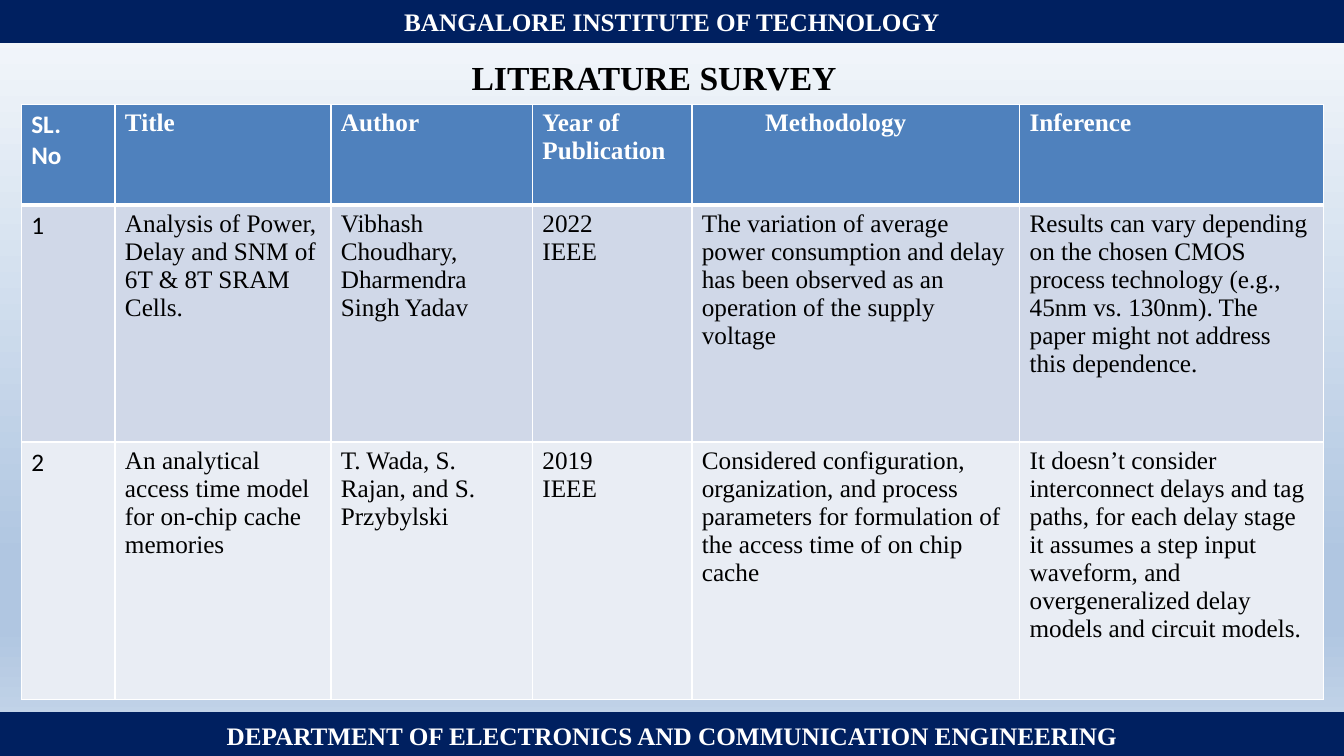
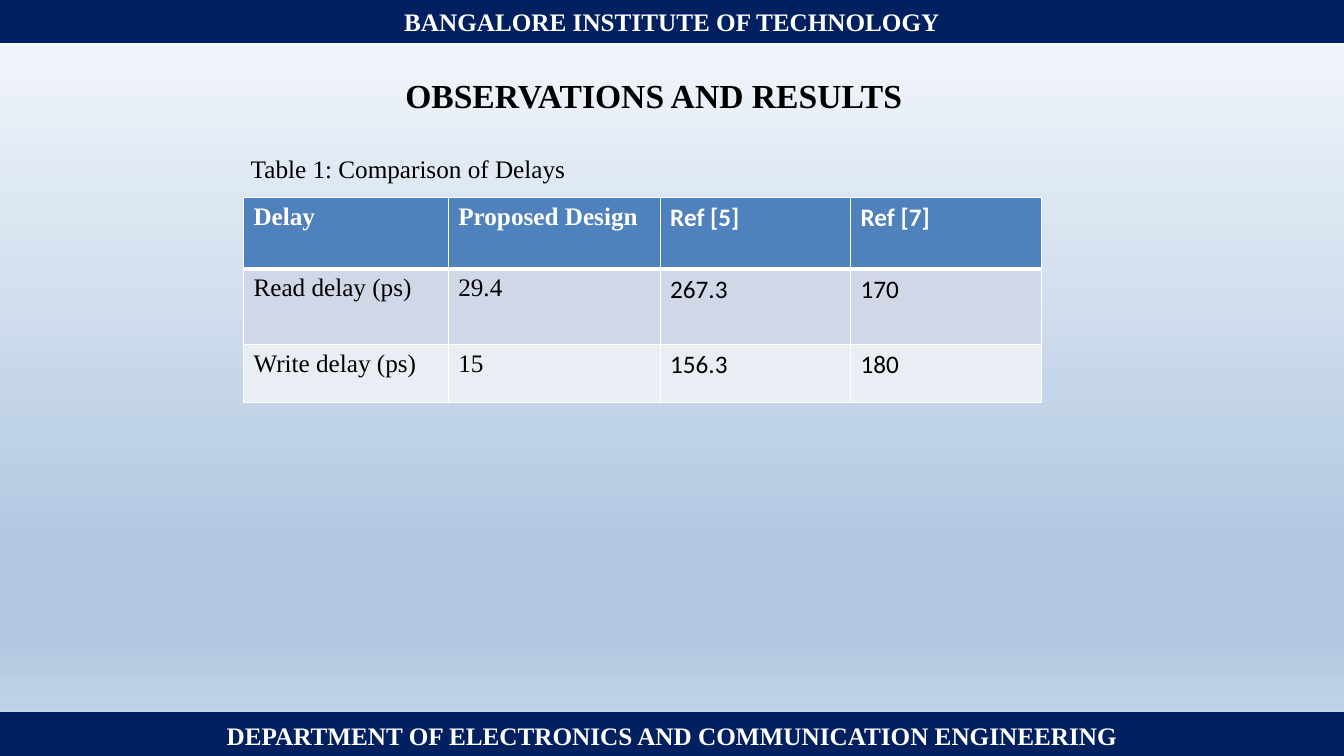
"""Build the literature survey and results slides."""
from pptx import Presentation
from pptx.dml.color import RGBColor
from pptx.enum.shapes import MSO_SHAPE
from pptx.enum.text import MSO_ANCHOR, MSO_AUTO_SIZE, PP_ALIGN
from pptx.oxml import parse_xml
from pptx.oxml.ns import nsdecls, qn
from pptx.util import Cm, Pt

SERIF, SANS = "Times New Roman", "Calibri"
NAVY, BLUE, WHITE, BLACK = "002060", "4F81BD", "FFFFFF", "000000"
STRIPES = ["E9EDF4", "D0D8E8"]
BACKGROUND = [(0, "F6F9FC"), (74, "B0C6E1"), (83, "B0C6E1"), (100, "CAD9EB")]
WIDTH, HEIGHT, BAND = 33.87, 19.05, 1.06
BANDS = [
    (0, "BANGALORE INSTITUTE OF TECHNOLOGY"),
    (HEIGHT - BAND, "DEPARTMENT OF ELECTRONICS AND COMMUNICATION ENGINEERING"),
]

SLIDES = [
    {
        "title": "LITERATURE SURVEY",
        "title_box": (11.63, 1.3, 9.96, 1.27),
        "table_at": (0.54, 2.63),
        "cols": [2.36, 5.44, 5.08, 4.02, 8.26, 7.65],
        "rows": [2.54, 5.97, 6.48],
        "sans_cols": [0],
        "indents": {"Methodology": 1.59},
        "cells": [
            ["SL.\nNo", "Title", "Author", "Year of Publication", "Methodology", "Inference"],
            ["1",
             "Analysis of Power, Delay and SNM of 6T & 8T SRAM Cells.",
             "Vibhash Choudhary, Dharmendra Singh Yadav",
             "2022\nIEEE",
             "The variation of average power consumption and delay has been observed "
             "as an operation of the supply voltage",
             "Results can vary depending on the chosen CMOS process technology "
             "(e.g., 45nm vs. 130nm). The paper might not address this dependence."],
            ["2",
             "An analytical access time model for on-chip cache memories",
             "T. Wada, S. Rajan, and S. Przybylski",
             "2019\nIEEE",
             "Considered configuration, organization, and process parameters for "
             "formulation of the access time of on chip cache",
             "It doesn’t consider interconnect delays and tag paths, for each delay stage "
             "it assumes a step input waveform, and overgeneralized delay models and "
             "circuit models."],
        ],
    },
    {
        "title": "OBSERVATIONS AND RESULTS",
        "title_box": (9.96, 1.75, 13.77, 1.27),
        "caption": "Table 1: Comparison of Delays",
        "caption_box": (6.07, 3.73, 19.6, 1.02),
        "table_at": (6.14, 4.98),
        "cols": [5.16, 5.34, 4.8, 4.8],
        "rows": [1.8, 1.91, 1.45],
        "sans_cols": [2, 3],
        "indents": {},
        "cells": [
            ["Delay", "Proposed Design", "Ref [5]", "Ref [7]"],
            ["Read delay (ps)", "29.4", "267.3", "170"],
            ["Write delay (ps)", "15", "156.3", "180"],
        ],
    },
]


def rgb(color):
    return RGBColor.from_string(color)


def style(tf, size, color, bold=False, name=SERIF, align=PP_ALIGN.LEFT):
    for p in tf.paragraphs:
        p.alignment = align
        p.font.name = name
        p.font.size = Pt(size)
        p.font.bold = bold
        p.font.color.rgb = rgb(color)


prs = Presentation()
prs.slide_width, prs.slide_height = Cm(WIDTH), Cm(HEIGHT)

fill = prs.slide_master.background.fill
fill.gradient()
fill.gradient_angle = 270
stops = prs.slide_master.element.find(".//" + qn("a:gsLst"))
for stop in list(stops):
    stops.remove(stop)
for pos, color in BACKGROUND:
    stops.append(parse_xml(
        f'<a:gs {nsdecls("a")} pos="{pos * 1000}"><a:srgbClr val="{color}"/></a:gs>'))

for data in SLIDES:
    s = prs.slides.add_slide(prs.slide_layouts[5])

    for top, text in BANDS:
        sp = s.shapes.add_shape(MSO_SHAPE.RECTANGLE, 0, Cm(top), Cm(WIDTH), Cm(BAND))
        sp.shadow.inherit = False
        sp.fill.solid()
        sp.fill.fore_color.rgb = rgb(NAVY)
        sp.line.color.rgb = rgb(NAVY)
        sp.line.width = Pt(2)
        tf = sp.text_frame
        tf.text = text
        tf.vertical_anchor = MSO_ANCHOR.MIDDLE
        style(tf, 18, WHITE, bold=True, align=PP_ALIGN.CENTER)

    title = s.shapes.title
    title.left, title.top, title.width, title.height = map(Cm, data["title_box"])
    tf = title.text_frame
    tf.text = data["title"]
    tf.vertical_anchor = MSO_ANCHOR.TOP
    tf.auto_size = MSO_AUTO_SIZE.NONE
    style(tf, 24, BLACK, bold=True)

    if "caption" in data:
        tf = s.shapes.add_textbox(*map(Cm, data["caption_box"])).text_frame
        tf.word_wrap = True
        tf.text = data["caption"]
        style(tf, 18, BLACK)

    cols, rows = data["cols"], data["rows"]
    table = s.shapes.add_table(
        len(rows), len(cols), *map(Cm, data["table_at"]), Cm(sum(cols)), Cm(sum(rows))).table
    for i, width in enumerate(cols):
        table.columns[i].width = Cm(width)
    for i, height in enumerate(rows):
        table.rows[i].height = Cm(height)

    for i, row in enumerate(data["cells"]):
        header = i == 0
        widths = {"L": 1, "R": 1, "T": 3 if i == 1 else 1, "B": 3 if header else 1}
        for j, text in enumerate(row):
            cell = table.cell(i, j)
            cell.text = text
            cell.margin_left = Cm(0.25 + data["indents"].get(text, 0))
            style(cell.text_frame, 18, WHITE if header else BLACK, bold=header,
                  name=SANS if j in data["sans_cols"] else SERIF)
            tcPr = cell._tc.get_or_add_tcPr()
            for side, width in widths.items():
                tcPr.append(parse_xml(
                    f'<a:ln{side} {nsdecls("a")} w="{Pt(width)}"><a:solidFill>'
                    f'<a:srgbClr val="{WHITE}"/></a:solidFill></a:ln{side}>'))
            cell.fill.solid()
            cell.fill.fore_color.rgb = rgb(BLUE if header else STRIPES[i % 2])

prs.save("out.pptx")
